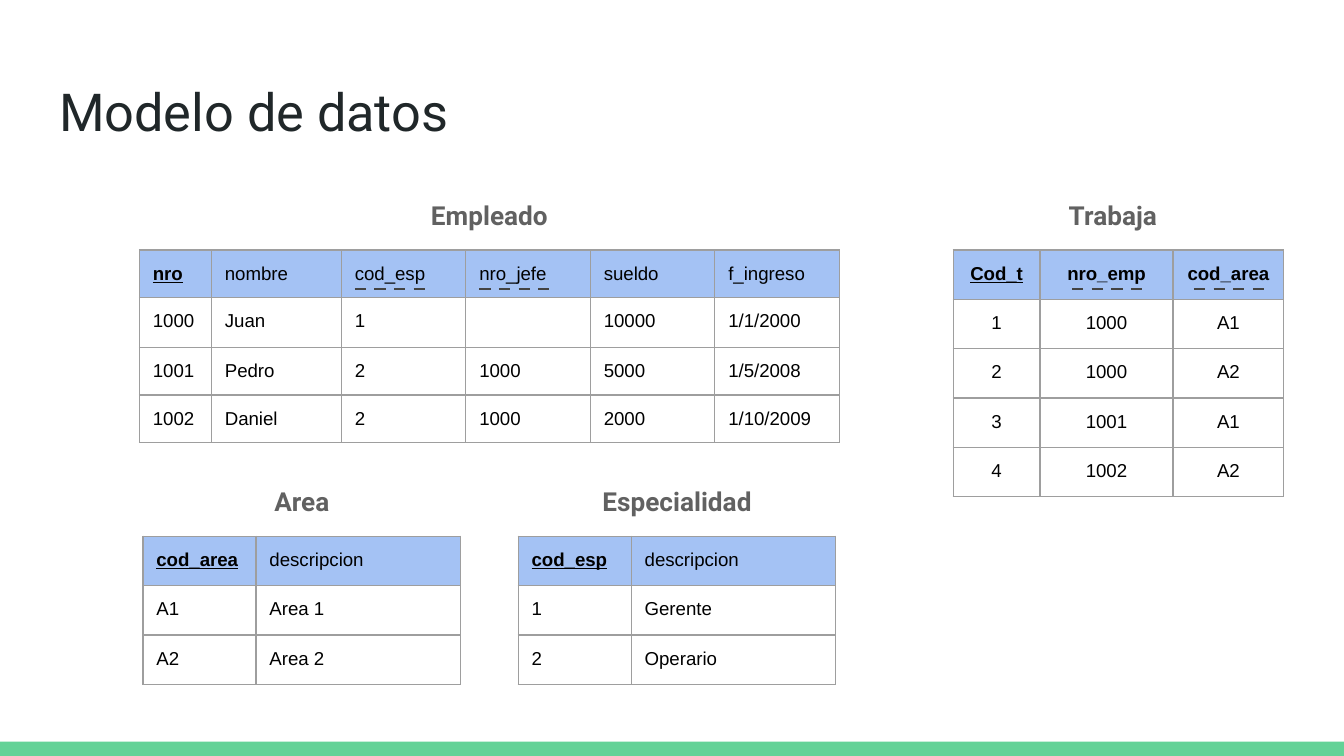
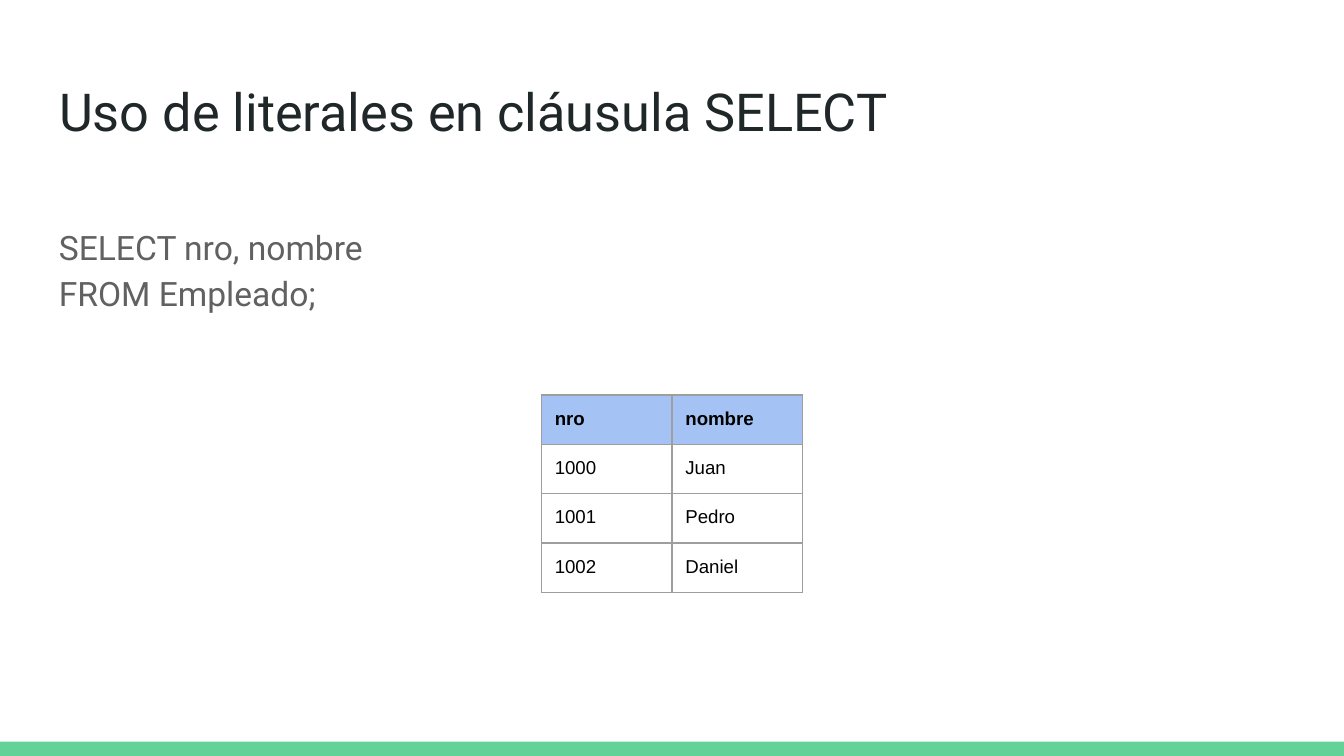
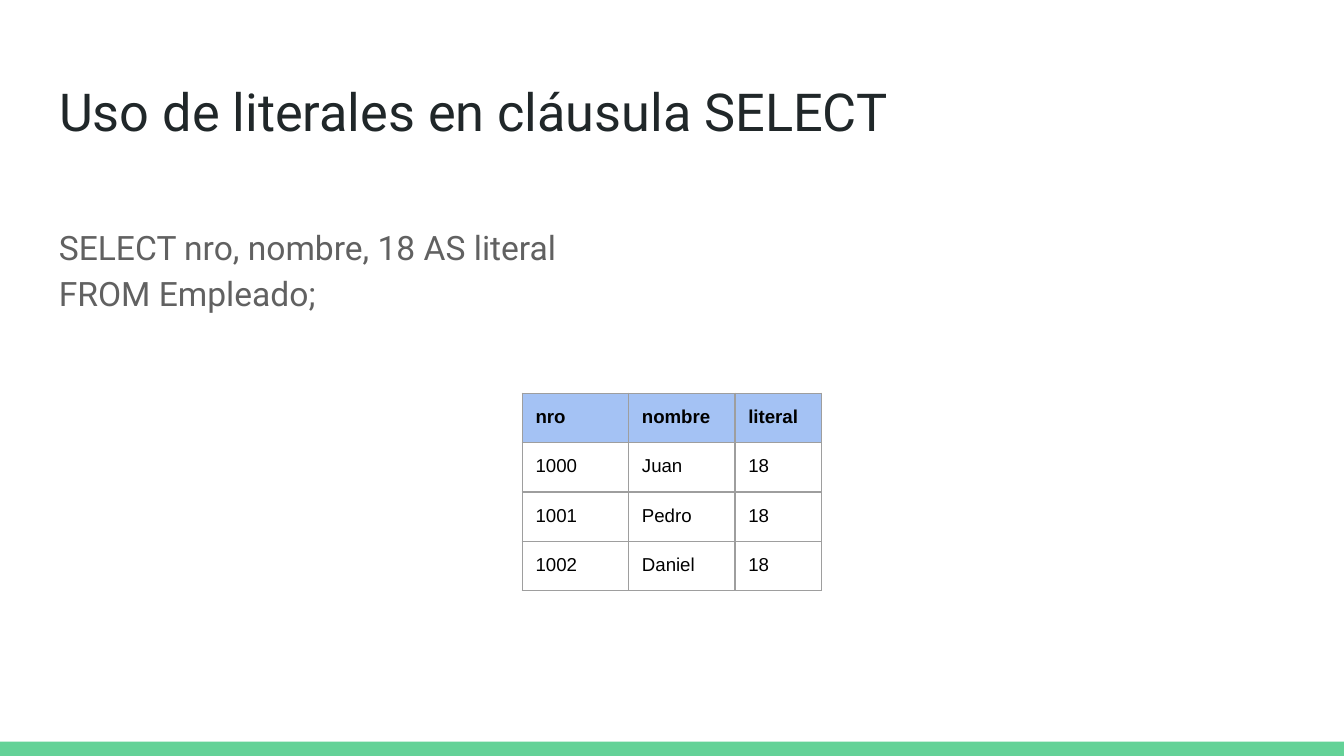
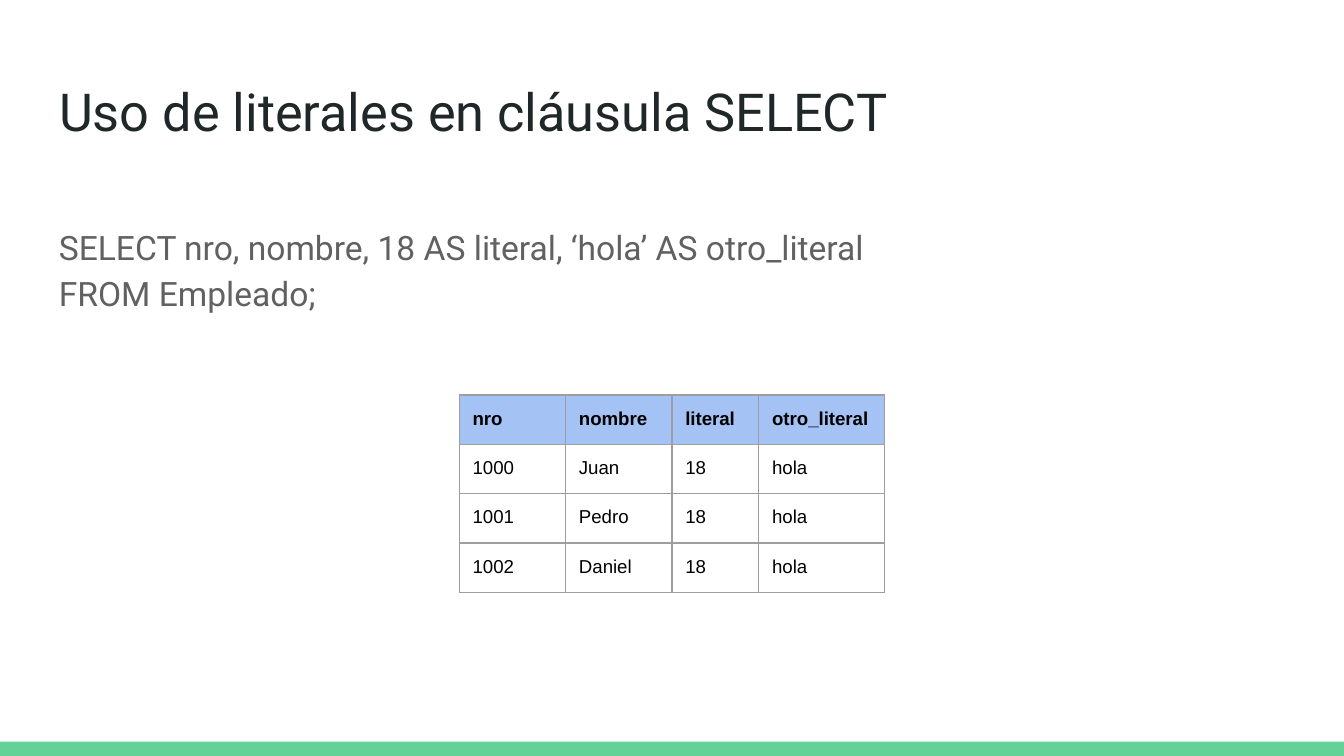
from lxml import etree
from pptx import Presentation
from pptx.dml.color import RGBColor
from pptx.enum import dml, shapes, text
from pptx.oxml.ns import qn
from pptx.util import Pt

# ---- Content ----
MODEL_TITLE = "Modelo de datos"
QUERY_TITLE = "Uso de literales en cláusula SELECT"

# bold: number of bold header cells; foreign: columns with a dashed underline
ENTITIES = [
    dict(name="Empleado", left=74.7, top=133.9, widths=[38.6, 69.6] + [66.7] * 4,
         bold=1, foreign=[2, 3], rows=[
             ("nro", "nombre", "cod_esp", "nro_jefe", "sueldo", "f_ingreso"),
             ("1000", "Juan", "1", "", "10000", "1/1/2000"),
             ("1001", "Pedro", "2", "1000", "5000", "1/5/2008"),
             ("1002", "Daniel", "2", "1000", "2000", "1/10/2009")]),
    dict(name="Trabaja", left=510.6, top=133.9, widths=[46.6, 71.2, 59.4],
         bold=3, foreign=[1, 2], centered=True, name_shift=-3, rows=[
             ("Cod_t", "nro_emp", "cod_area"),
             ("1", "1000", "A1"),
             ("2", "1000", "A2"),
             ("3", "1001", "A1"),
             ("4", "1002", "A2")]),
    dict(name="Area", left=76.6, top=287.3, widths=[60.6, 109.6], bold=1, rows=[
        ("cod_area", "descripcion"), ("A1", "Area 1"), ("A2", "Area 2")]),
    dict(name="Especialidad", left=277.6, top=287.3, widths=[60.6, 109.6], bold=1, rows=[
        ("cod_esp", "descripcion"), ("1", "Gerente"), ("2", "Operario")]),
]

EMPLOYEES = [("1000", "Juan"), ("1001", "Pedro"), ("1002", "Daniel")]

# Each query adds its literal columns to the employee list
QUERIES = [
    dict(select="SELECT nro, nombre", top=211.6, widths=[70, 70], literals=[]),
    dict(select="SELECT nro, nombre, 18 AS literal", top=210.7, widths=[57, 57, 46.5],
         literals=[("literal", "18")]),
    dict(select="SELECT nro, nombre, 18 AS literal, ‘hola’ AS otro_literal", top=211.6,
         widths=[57, 57, 46.5, 67.5],
         literals=[("literal", "18"), ("otro_literal", "hola")]),
]
FROM_CLAUSE = "FROM Empleado;"

# ---- Shared style ----
COLORS = dict(title="202729", body="616161", cell="000000", header="A4C2F4",
              border="9E9E9E", dash="434343", band="63D297")
SLIDE_W, SLIDE_H = 720, 405
BAND_H = 7.6
MARGIN = 24.5
INSET = 7.2
ROW_H = 24
NAME_W, NAME_H, NAME_RISE = 142, 30, 37
DASH_LENGTH, DASH_DROP = 40, 20.9
LEFT, CENTER = text.PP_ALIGN.LEFT, text.PP_ALIGN.CENTER


def rgb(key):
    return RGBColor.from_string(COLORS[key])


def write(frame, content, *, size, color, font="Roboto", bold=False, underline=False,
          align=LEFT, spacing=None, after=None):
    """Fill a text frame with one formatted paragraph."""
    frame.word_wrap = True
    paragraph = frame.paragraphs[0]
    paragraph.text = content
    paragraph.alignment = align
    paragraph.line_spacing = spacing
    if after:
        paragraph.space_after = Pt(after)
    for run in paragraph.runs:
        run.font.name, run.font.size = font, Pt(size)
        run.font.bold, run.font.underline = bold, underline
        run.font.color.rgb = rgb(color)
    if not content:  # an empty cell keeps the row height of its neighbours
        paragraph._p.get_or_add_endParaRPr().set("sz", str(size * 100))


def set_insets(holder):
    holder.margin_left = holder.margin_right = Pt(INSET)
    holder.margin_top = holder.margin_bottom = Pt(INSET)


def add_label(slide, content, left, top, width, height, **style):
    frame = slide.shapes.add_textbox(Pt(left), Pt(top), Pt(width), Pt(height)).text_frame
    set_insets(frame)
    write(frame, content, color="body", spacing=1.15, after=16, **style)


def add_band(slide, layout):
    """Draw the bottom band and hand it to the layout, so every slide shows it."""
    band = slide.shapes.add_shape(shapes.MSO_SHAPE.RECTANGLE, 0, Pt(SLIDE_H - BAND_H),
                                  Pt(SLIDE_W), Pt(BAND_H))
    band.shadow.inherit = False
    band.fill.solid()
    band.fill.fore_color.rgb = rgb("band")
    band.line.fill.background()
    layout.shapes._spTree.append(band._element)


def add_titled_slide(deck, layout, title):
    slide = deck.slides.add_slide(layout)
    heading = slide.shapes.title
    heading.left, heading.top = Pt(MARGIN), Pt(35.3)
    heading.width, heading.height = Pt(SLIDE_W - 2 * MARGIN), Pt(45.4)
    frame = heading.text_frame
    frame.auto_size = text.MSO_AUTO_SIZE.NONE
    frame.vertical_anchor = text.MSO_ANCHOR.TOP
    set_insets(frame)
    write(frame, title, size=28, color="title")
    return slide


def set_borders(cell):
    properties = cell._tc.get_or_add_tcPr()
    for position, side in enumerate(("a:lnL", "a:lnR", "a:lnT", "a:lnB")):
        line = etree.Element(qn(side), w=str(Pt(0.75)))
        fill = etree.SubElement(line, qn("a:solidFill"))
        etree.SubElement(fill, qn("a:srgbClr"), val=COLORS["border"])
        properties.insert(position, line)


def add_grid(slide, rows, widths, left, top, bold, key=False, align=LEFT):
    """Add a table; key underlines the first header cell."""
    grid = slide.shapes.add_table(len(rows), len(widths), Pt(left), Pt(top),
                                  Pt(sum(widths)), Pt(ROW_H * len(rows))).table
    grid.first_row = grid.horz_banding = False
    for column, width in zip(grid.columns, widths):
        column.width = Pt(width)
    for r, values in enumerate(rows):
        for c, value in enumerate(values):
            cell, is_header = grid.cell(r, c), r == 0
            set_insets(cell)
            write(cell.text_frame, value, size=10, color="cell", font="Arial", align=align,
                  bold=is_header and c < bold, underline=is_header and key and c == 0)
            if is_header:
                cell.fill.solid()
                cell.fill.fore_color.rgb = rgb("header")
            else:
                cell.fill.background()
            set_borders(cell)


def add_dash(slide, left, y):
    dash = slide.shapes.add_connector(shapes.MSO_CONNECTOR.STRAIGHT, Pt(left), Pt(y),
                                      Pt(left + DASH_LENGTH), Pt(y))
    dash.line.color.rgb = rgb("dash")
    dash.line.width = Pt(1.5)
    dash.line.dash_style = dml.MSO_LINE.DASH
    etree.SubElement(dash._element.spPr, qn("a:effectLst"))


def add_entity(slide, entity):
    left, top, widths = entity["left"], entity["top"], entity["widths"]
    centered = entity.get("centered", False)
    add_grid(slide, entity["rows"], widths, left, top, entity["bold"], key=True,
             align=CENTER if centered else LEFT)
    name_left = left + (sum(widths) - NAME_W) / 2 + entity.get("name_shift", 0)
    add_label(slide, entity["name"], name_left, top - NAME_RISE, NAME_W, NAME_H,
              size=14, bold=True, align=CENTER)
    for column in entity.get("foreign", []):
        indent = (widths[column] - DASH_LENGTH) / 2 + 1.5 if centered else INSET
        add_dash(slide, left + sum(widths[:column]) + indent, top + DASH_DROP)


def add_query(slide, query):
    add_label(slide, query["select"] + "\n" + FROM_CLAUSE, MARGIN, 110.9,
              SLIDE_W - 2 * MARGIN, 64, size=18)
    names = tuple(name for name, _ in query["literals"])
    values = tuple(value for _, value in query["literals"])
    rows = [("nro", "nombre") + names] + [employee + values for employee in EMPLOYEES]
    widths = query["widths"]
    add_grid(slide, rows, widths, (SLIDE_W - sum(widths)) / 2, query["top"],
             bold=len(widths))


def main():
    deck = Presentation()
    deck.slide_width, deck.slide_height = Pt(SLIDE_W), Pt(SLIDE_H)
    title_only = deck.slide_layouts[5]

    # Data model
    model = add_titled_slide(deck, title_only, MODEL_TITLE)
    add_band(model, title_only)
    for entity in ENTITIES:
        add_entity(model, entity)

    # Queries with literals
    for query in QUERIES:
        add_query(add_titled_slide(deck, title_only, QUERY_TITLE), query)

    deck.save("out.pptx")


if __name__ == "__main__":
    main()
